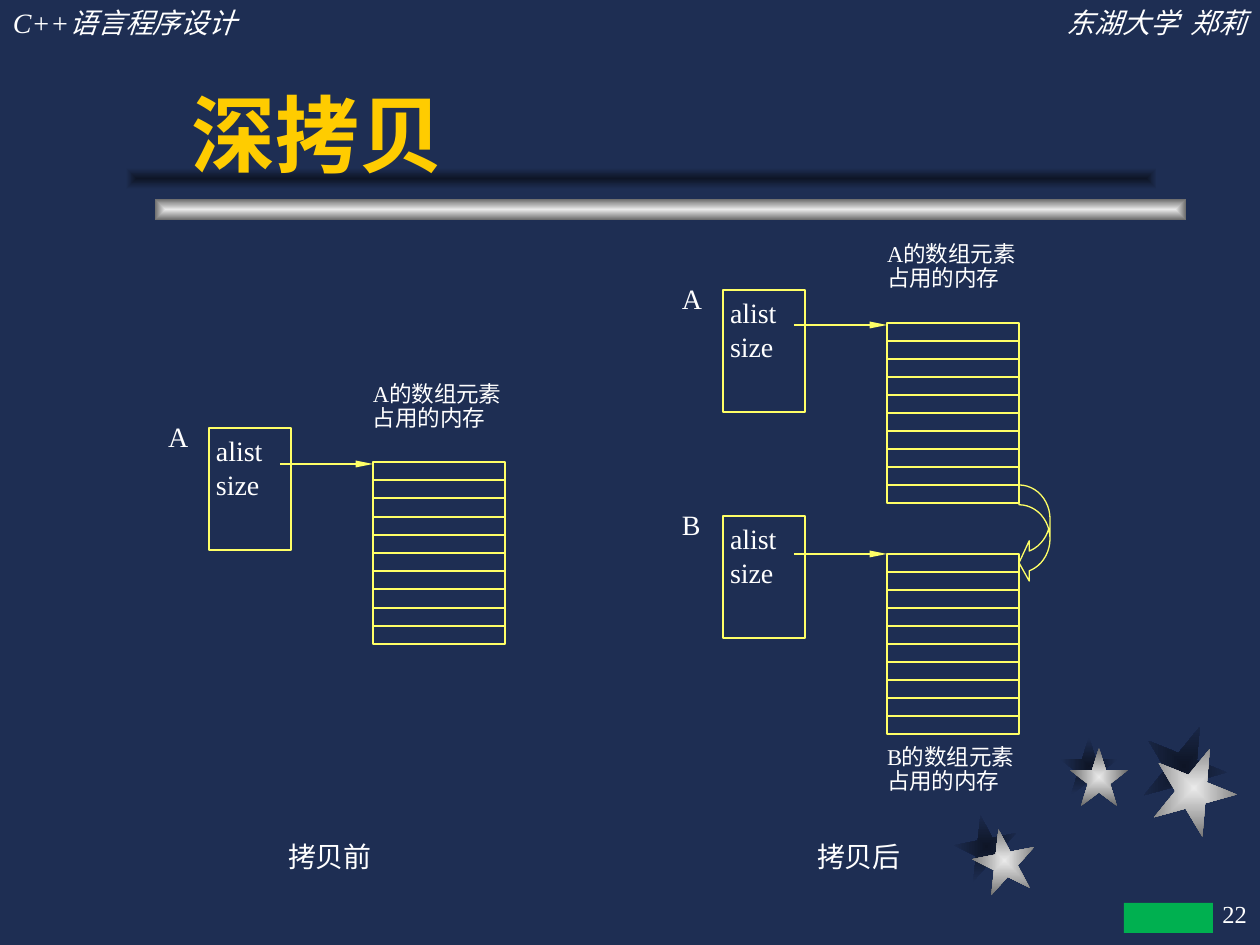
from lxml import etree
from pptx import Presentation, util as u
from pptx.dml.color import RGBColor
from pptx.enum import shapes as s, text as t
from pptx.oxml import ns

NAVY = RGBColor(0x1E, 0x2E, 0x53)
DARK = RGBColor(0x0E, 0x15, 0x26)
PALE = RGBColor(0xEA, 0xEA, 0xEA)
GREY = RGBColor(0x6C, 0x6C, 0x6C)
WHITE = RGBColor(0xFF, 0xFF, 0xFF)
GOLD = RGBColor(0xFF, 0xCC, 0x00)
YELLOW = RGBColor(0xFF, 0xFF, 0x66)
GREEN = RGBColor(0x00, 0xB0, 0x50)
SERIF = "Times New Roman"
LEFT, MID, RIGHT = t.PP_ALIGN.JUSTIFY, t.PP_ALIGN.CENTER, t.PP_ALIGN.RIGHT


def px(*vals):
    """Turn pixel lengths into EMU."""
    return [u.Emu(round(v * 914400 / 126)) for v in vals]


def sub(node, tag, **attrs):
    """Add a DrawingML child element."""
    return etree.SubElement(node, ns.qn(tag), attrs)


def write(shape, words, size, align=LEFT, pad=(0, 0), color=WHITE, font=SERIF):
    """Fill a shape with text and format every run."""
    frame = shape.text_frame
    frame.word_wrap = True
    frame.margin_left, frame.margin_top = px(*pad)
    frame.margin_right, frame.margin_bottom = px(*pad)
    frame.text = words
    for para in frame.paragraphs:
        para.alignment = align
        for run in para.runs:
            run.font.size = u.Pt(size)
            run.font.name = font
            run.font.color.rgb = color
    return frame


def label(slide, box, words, size, align=LEFT, pad=(0, 0)):
    """Add a text box."""
    return write(slide.shapes.add_textbox(*px(*box)), words, size, align, pad)


def draw(slide, kind, box):
    """Add an unfilled shape with a thin yellow outline."""
    shape = slide.shapes.add_shape(kind, *px(*box))
    shape.shadow.inherit = False
    shape.fill.background()
    shape.line.color.rgb = YELLOW
    shape.line.width = u.Pt(0.75)
    return shape


def glow(slide, kind, box, inner, outer, turn=0):
    """Add a borderless shape shaded from its centre outwards."""
    shape = draw(slide, kind, box)
    shape.line.fill.background()
    shape.rotation = turn
    shape.fill.gradient()
    for stop, color in zip(shape.fill.gradient_stops, (inner, outer)):
        stop.color.rgb = color
    grad = shape.element.spPr.find(ns.qn("a:gradFill"))
    grad.remove(grad.find(ns.qn("a:lin")))
    way = sub(grad, "a:path", path="rect")
    sub(way, "a:fillToRect", l="50000", t="50000", r="50000", b="50000")


def link(slide, ends, arrow=False):
    """Add a thin yellow line, with an arrowhead if asked."""
    line = slide.shapes.add_connector(s.MSO_CONNECTOR.STRAIGHT, *px(*ends))
    line.line.color.rgb = YELLOW
    line.line.width = u.Pt(0.75)
    if arrow:
        sub(line.line._get_or_add_ln(), "a:tailEnd", type="triangle", w="sm", len="lg")
    sub(line.element.spPr, "a:effectLst")


def backdrop(slide):
    """Place the background, stars, bars and running heads."""
    slide.background.fill.solid()
    slide.background.fill.fore_color.rgb = NAVY
    star, bar = s.MSO_SHAPE.STAR_5_POINT, s.MSO_SHAPE.RECTANGLE
    stars = [(973, 829, 63, -18, -14, 349), (1070, 748, 58, -10, -11, 0),
             (1152, 746, 84, -10, -22, 22)]
    for x, y, d, dx, dy, turn in stars:
        glow(slide, star, (x + dx, y + dy, d, d), DARK, NAVY, turn)
    for x, y, d, _, _, turn in stars:
        glow(slide, star, (x, y, d, d), PALE, GREY, turn)
    glow(slide, bar, (155, 199, 1031, 21), PALE, GREY)
    glow(slide, bar, (126, 168, 1031, 21), DARK, NAVY)
    for x, words, align in ((0, "C++语言程序设计", t.PP_ALIGN.LEFT),
                            (872, "东湖大学\u00a0 郑莉".replace("\u00a0", " "), RIGHT)):
        para = label(slide, (x, 0, 388, 47), words, 16, align, (13, 6)).paragraphs[0]
        para.space_before = u.Pt(10)
        para.runs[0].font.italic = True


def heading(slide, box, words):
    """Place the title in front of the bars."""
    title = slide.shapes.title
    title.left, title.top, title.width, title.height = px(*box)
    frame = write(title, words, 48, t.PP_ALIGN.LEFT, (13, 6), GOLD, "Arial")
    frame.vertical_anchor = t.MSO_ANCHOR.BOTTOM
    frame.paragraphs[0].runs[0].font.bold = True
    slide.shapes.element.append(title.element)


def store(slide, box, rows=10):
    """Draw a block of memory cells."""
    x, y, w, h = box
    draw(slide, s.MSO_SHAPE.RECTANGLE, box)
    for row in range(1, rows):
        level = y + round(h * row / rows)
        link(slide, (x, level, x + w, level))


def entity(slide, x, y, name, cells, note, arrow, tall):
    """Draw an object and its memory; cells, note and arrow are offsets from y."""
    card = draw(slide, s.MSO_SHAPE.RECTANGLE, (x, y, 82, 122))
    write(card, "alist\nsize", 16, LEFT, (7, 6)).vertical_anchor = t.MSO_ANCHOR.TOP
    label(slide, (x - 41, y - 8, 30, 36), name, 16)
    store(slide, (x + 164, y + cells, 132, tall))
    text = label(slide, (x + 164, y + note, 142, 76), f"{name}的数组元素\n占用的内存", 12.9)
    for para in text.paragraphs:
        para.line_spacing = 0.9
    link(slide, (x + 71, y + arrow, x + 164, y + arrow), True)


def before(slide, x, y):
    """Draw the state before copying."""
    entity(slide, x, y, "A", 34, -45, 36, 182)
    label(slide, (x + 19, 840, 204, 42), "拷贝前", 16, MID, (13, 0))


def after(slide, x, y):
    """Draw the state after copying."""
    entity(slide, x, y, "A", 33, -47, 35, 180)
    entity(slide, x, y + 226, "B", 38, 230, 38, 180)
    label(slide, (x + 34, 840, 204, 42), "拷贝后", 16, MID, (13, 0))
    bend = draw(slide, s.MSO_SHAPE.CURVED_LEFT_ARROW, (x + 296, y + 195, 31, 98))
    for i, part in enumerate((0.64, 1.3, 0.33)):
        bend.adjustments[i] = part


def footer(slide):
    """Place the page number and the green block."""
    frame = label(slide, (998, 882, 262, 63), "22", 14, RIGHT, (13, 6))
    frame.vertical_anchor = t.MSO_ANCHOR.MIDDLE
    block = draw(slide, s.MSO_SHAPE.RECTANGLE, (1124, 903, 89, 30))
    block.fill.solid()
    block.fill.fore_color.rgb = GREEN
    block.line.fill.background()


def main():
    """Build and save the slide."""
    deck = Presentation()
    deck.slide_width, deck.slide_height = px(1260, 945)
    slide = deck.slides.add_slide(deck.slide_layouts[5])
    backdrop(slide)
    heading(slide, (179, 32, 987, 157), "深拷贝")
    before(slide, 209, 428)
    after(slide, 723, 290)
    footer(slide)
    deck.save("out.pptx")


if __name__ == "__main__":
    main()
